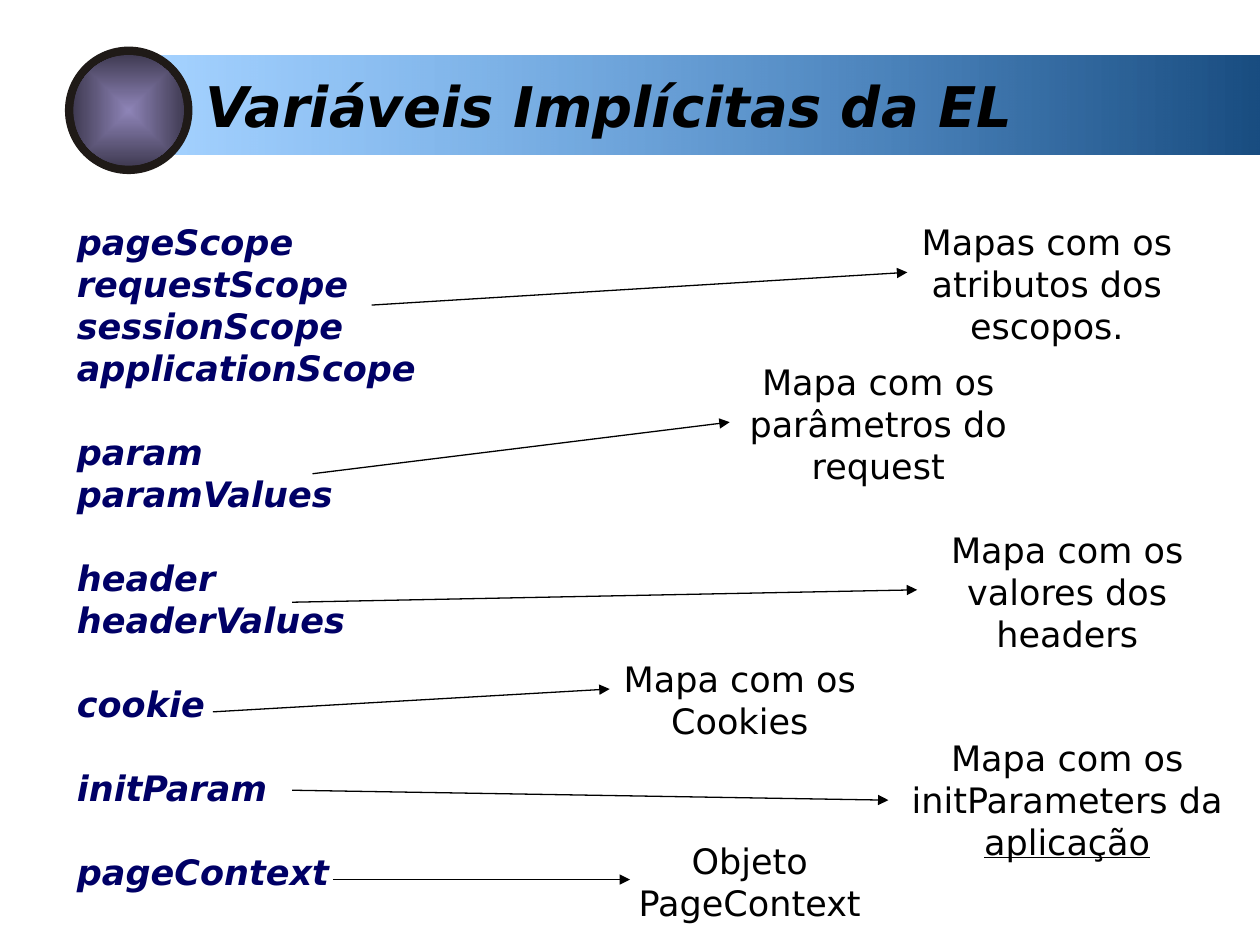
from lxml.etree import SubElement
from pptx import Presentation
from pptx.dml.color import RGBColor
from pptx.enum.shapes import MSO_CONNECTOR, MSO_SHAPE
from pptx.enum.text import MSO_ANCHOR, PP_ALIGN
from pptx.oxml.ns import qn
from pptx.util import Cm, Pt

FONT = "DejaVu Sans"
COLORS = {
    "text": "000000",
    "names": "000066",
    "bar_dark": "194D81",
    "bar_light": "3399FF",
    "ring": "1F1A17",
    "disk_center": "8E84B7",
    "disk_edge": "413C54",
}

VARIABLE_GROUPS = [
    ["pageScope", "requestScope", "sessionScope", "applicationScope"],
    ["param", "paramValues"],
    ["header", "headerValues"],
    ["cookie"],
    ["initParam"],
    ["pageContext"],
]

# text, underlined ending, box (left, top, height), arrow start, arrow tip inside the box
CALLOUTS = [
    ("Mapas com os atributos dos escopos.", "", (17.7, 4.32, 2.79), (7.49, 6.15), (0.59, 1.17)),
    ("Mapa com os parâmetros do\nrequest", "", (14.3, 7.14, 2.79), (6.3, 9.55), (0.41, 1.37)),
    ("Mapa com os valores dos headers", "", (18.11, 10.52, 2.79), (5.89, 12.14), (0.38, 1.37)),
    ("Mapa com os\nCookies", "", (11.51, 13.13, 1.96), (4.29, 14.35), (0.78, 0.76)),
    ("Mapa com os initParameters da\n", "aplicação", (18.11, 14.73, 2.79), (5.89, 15.93), (-0.2, 1.4)),
    ("Objeto\nPageContext", "", (11.71, 16.79, 1.96), (6.71, 17.73), (0.99, 0.94)),
]
CALLOUT_WIDTH = 6.81


def rgb(name):
    return RGBColor.from_string(COLORS[name])


def style(para, size, color, strong=False):
    para.font.name = FONT
    para.font.size = Pt(size)
    para.font.bold = para.font.italic = strong
    para.font.color.rgb = rgb(color)


def add_plain_shape(page, kind, left, top, width, height):
    """Add a shape with neither outline nor shadow."""
    shape = page.shapes.add_shape(kind, Cm(left), Cm(top), Cm(width), Cm(height))
    shape.shadow.inherit = False
    shape.line.fill.background()
    return shape


def fill_gradient(shape, first, last):
    shape.fill.gradient()
    for stop, name in zip(shape.fill.gradient_stops, (first, last)):
        stop.color.rgb = rgb(name)
    return shape.element.spPr.find(qn("a:gradFill"))


def add_text_box(page, left, top, width, height):
    box = page.shapes.add_textbox(Cm(left), Cm(top), Cm(width), Cm(height))
    box.text_frame.word_wrap = True
    return box.text_frame


def add_header(page, left, top, width, height):
    bar = add_plain_shape(page, MSO_SHAPE.RECTANGLE, left, top, width, height)
    gradient = fill_gradient(bar, "bar_dark", "bar_light")
    bar.fill.gradient_angle = 180
    light = gradient.findall(".//" + qn("a:srgbClr"))[-1]
    SubElement(light, qn("a:alpha"), val="44000")

    title = page.shapes.title
    title.left, title.top = Cm(left + 0.79), Cm(top + 0.2)
    title.width, title.height = Cm(width - 0.79), Cm(1.63)
    title.text_frame.text = "Variáveis Implícitas da EL"
    title.text_frame.vertical_anchor = MSO_ANCHOR.TOP
    para = title.text_frame.paragraphs[0]
    para.alignment = PP_ALIGN.LEFT
    style(para, 32, "text", strong=True)
    bar.element.addnext(title.element)


def add_badge(page, left, top, size):
    """Draw a dark ring around a disk that is lighter in the middle."""
    ring = add_plain_shape(page, MSO_SHAPE.OVAL, left, top, size, size)
    ring.fill.solid()
    ring.fill.fore_color.rgb = rgb("ring")

    rim = 0.17
    inner = size - 2 * rim
    disk = add_plain_shape(page, MSO_SHAPE.OVAL, left + rim, top + rim, inner, inner)
    gradient = fill_gradient(disk, "disk_center", "disk_edge")
    gradient.remove(gradient.find(qn("a:lin")))
    path = SubElement(gradient, qn("a:path"), path="rect")
    SubElement(path, qn("a:fillToRect"), l="50000", t="50000", r="50000", b="50000")


def add_variables(page, left, top, width, height):
    frame = add_text_box(page, left, top, width, height)
    for index, group in enumerate(VARIABLE_GROUPS):
        para = frame.add_paragraph() if index else frame.paragraphs[0]
        para.text = "\n".join(group)
        para.space_before = Pt(24 if index else 0)
        style(para, 20, "names", strong=True)


def add_arrow(page, start, tip):
    arrow = page.shapes.add_connector(MSO_CONNECTOR.STRAIGHT, *map(Cm, start + tip))
    arrow.line.color.rgb = rgb("text")
    arrow.line.width = Pt(0.75)
    SubElement(arrow.line._get_or_add_ln(), qn("a:tailEnd"), type="triangle")
    SubElement(arrow.element.spPr, qn("a:effectLst"))


def add_callout(page, text, underlined, box, start, tip):
    left, top, height = box
    para = add_text_box(page, left, top, CALLOUT_WIDTH, height).paragraphs[0]
    para.text = text
    para.alignment = PP_ALIGN.CENTER
    style(para, 20, "text")
    if underlined:
        span = para.add_run()
        span.text = underlined
        span.font.underline = True
    add_arrow(page, start, (left + tip[0], top + tip[1]))


def main():
    deck = Presentation()
    deck.slide_width, deck.slide_height = Cm(25.4), Cm(19.05)
    page = deck.slides.add_slide(deck.slide_layouts[5])
    add_header(page, 3.1, 1.12, 22.3, 2)
    add_badge(page, 1.31, 0.94, 2.57)
    add_variables(page, 1.3, 4.32, 8.2, 13.82)
    for callout in CALLOUTS:
        add_callout(page, *callout)
    deck.save("out.pptx")


if __name__ == "__main__":
    main()
